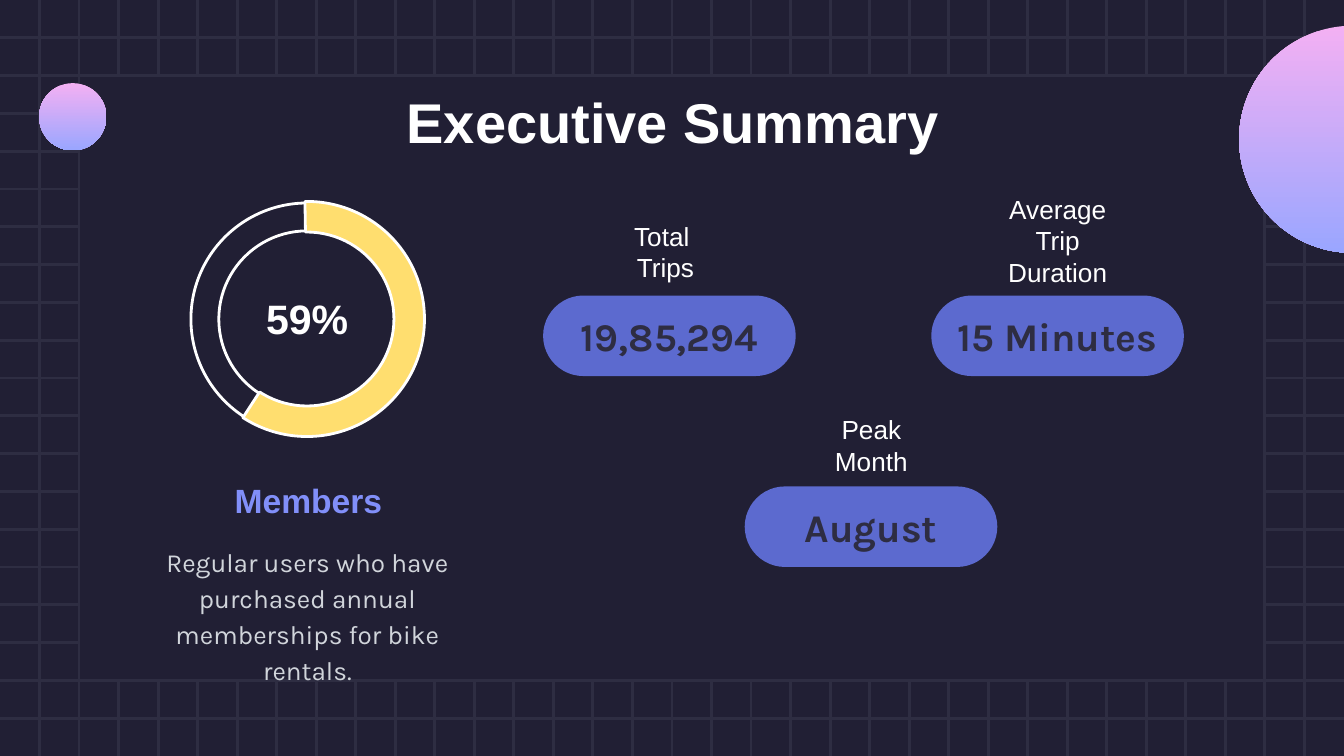
import pptx
import pptx.dml.color
import pptx.enum.shapes
import pptx.enum.text
import pptx.oxml.ns
import pptx.oxml.xmlchemy
import pptx.util

RGBColor = pptx.dml.color.RGBColor
NIGHT = RGBColor(0x21, 0x1F, 0x34)
SLATE = RGBColor(0x2E, 0x2D, 0x42)
PINK = RGBColor(0xF3, 0xB0, 0xF3)
PERIWINKLE = RGBColor(0x9A, 0xA6, 0xFF)
INDIGO = RGBColor(0x5C, 0x6A, 0xCF)
LAVENDER = RGBColor(0x81, 0x8F, 0xF9)
YELLOW = RGBColor(0xFF, 0xDE, 0x6F)
GREY = RGBColor(0xD1, 0xD5, 0xDB)
WHITE = RGBColor(0xFF, 0xFF, 0xFF)

SHAPE = pptx.enum.shapes.MSO_SHAPE
ANCHOR = pptx.enum.text.MSO_ANCHOR
COLUMNS, ROWS = 34, 20
WIDTH = pptx.util.Inches(10)
HEIGHT = WIDTH * 9 // 16


def place(column, row, columns, rows):
    """Turn grid units into slide lengths."""
    across, down = WIDTH / COLUMNS, HEIGHT / ROWS
    return round(column * across), round(row * down), round(columns * across), round(rows * down)


def add_grid_line(page, start, end):
    """Draw one background line between two grid points."""
    line = page.shapes.add_connector(
        pptx.enum.shapes.MSO_CONNECTOR.STRAIGHT, *place(*start, *end))
    line.line.color.rgb = SLATE
    line.line.width = pptx.util.Pt(1.5)
    line._element.spPr.append(pptx.oxml.xmlchemy.OxmlElement("a:effectLst"))


def add_figure(page, kind, cells, fill=None, outline=None, adjustments=()):
    """Add a preset shape with an optional plain fill and outline."""
    figure = page.shapes.add_shape(kind, *place(*cells))
    figure.shadow.inherit = False
    for index, value in enumerate(adjustments):
        figure.adjustments[index] = value
    if fill is None:
        figure.fill.background()
    else:
        figure.fill.solid()
        figure.fill.fore_color.rgb = fill
    if outline is None:
        figure.line.fill.background()
    else:
        figure.line.color.rgb = outline
        figure.line.width = pptx.util.Pt(1.5)
    return figure


def add_ball(page, cells):
    """Add a circle shaded from pink down to periwinkle."""
    ball = add_figure(page, SHAPE.OVAL, cells)
    ball.fill.gradient()
    ball.fill.gradient_angle = 270
    for stop, color, position in zip(ball.fill.gradient_stops, (PINK, PERIWINKLE), (0, 1)):
        stop.color.rgb = color
        stop.position = position


def write(shape, text, size, color, font="Arial", bold=False,
          anchor=ANCHOR.TOP, spacing=None, inset=0.1):
    """Write centred text in a shape or text box."""
    frame = shape.text_frame
    frame.word_wrap = True
    frame.vertical_anchor = anchor
    frame.margin_left = frame.margin_right = pptx.util.Inches(0.1)
    frame.margin_top = frame.margin_bottom = pptx.util.Inches(inset)
    frame.text = text
    for para in frame.paragraphs:
        para.alignment = pptx.enum.text.PP_ALIGN.CENTER
        if spacing:
            para.line_spacing = spacing
        for span in para.runs:
            span.font.name = font
            span.font.size = pptx.util.Pt(size)
            span.font.bold = bold
            span.font.color.rgb = color


def add_text(page, cells, text, size, color, **style):
    """Add a text box on the grid."""
    write(page.shapes.add_textbox(*place(*cells)), text, size, color, **style)


def add_metric(page, label, label_cells, value, corner):
    """Add a label and the pill that holds its value."""
    pill = add_figure(page, SHAPE.ROUNDED_RECTANGLE, (*corner, 6.39, 2.13), INDIGO,
                      adjustments=[0.5])
    write(pill, value, 21, SLATE, font="Karla", bold=True, anchor=ANCHOR.MIDDLE)
    add_text(page, label_cells, label, 14, WHITE, inset=0.05)


def add_backdrop(page):
    """Draw the grid, the central panel and the two balls."""
    page.background.fill.solid()
    page.background.fill.fore_color.rgb = NIGHT
    for row in range(1, ROWS):
        add_grid_line(page, (0, row), (COLUMNS, row))
    for column in range(1, COLUMNS):
        add_grid_line(page, (column, 0), (column, ROWS))
    add_figure(page, SHAPE.RECTANGLE, (2, 2, COLUMNS - 4, ROWS - 4), NIGHT, SLATE)
    add_ball(page, (31.35, 0.68, 5.75, 6.01))
    add_ball(page, (0.99, 2.2, 1.7, 1.78))


def add_member_share(page):
    """Draw the ring for the member share with its texts."""
    add_text(page, (2.92, 13.97, 9.72, 3.41),
             "Regular users who have purchased annual memberships for bike rentals.",
             14, GREY, font="Karla", spacing=1.15)
    add_text(page, (3.54, 12.16, 8.53, 1.96), "Members", 18, LAVENDER,
             bold=True, anchor=ANCHOR.BOTTOM, spacing=1.15)
    add_figure(page, SHAPE.DONUT, (4.83, 5.37, 5.88, 6.15), outline=WHITE,
               adjustments=[0.12])
    arc = add_figure(page, SHAPE.BLOCK_ARC, (4.79, 5.33, 5.95, 6.22), YELLOW, WHITE,
                     [34.22, 162.57, 0.13])
    arc._element.spPr.find(pptx.oxml.ns.qn("a:xfrm")).set("flipH", "1")
    add_text(page, (5.17, 7.47, 5.2, 1.96), "59%", 22, WHITE, bold=True,
             anchor=ANCHOR.BOTTOM)


def main():
    """Build the executive summary slide."""
    deck = pptx.Presentation()
    deck.slide_width, deck.slide_height = WIDTH, HEIGHT
    page = deck.slides.add_slide(deck.slide_layouts[6])
    add_backdrop(page)
    add_member_share(page)
    add_text(page, (2.69, 1.96, 28.66, 2.24), "Executive Summary", 30, WHITE, bold=True)
    add_metric(page, "Total \nTrips", (15.61, 5.65, 2.45, 2.03), "19,85,294", (13.74, 7.82))
    add_metric(page, "Average Trip Duration", (24.72, 4.94, 4.08, 2.88),
               "15 Minutes", (23.56, 7.82))
    add_metric(page, "Peak Month", (20.5, 10.77, 3.09, 2.03), "August", (18.84, 12.87))
    deck.save("out.pptx")


if __name__ == "__main__":
    main()
